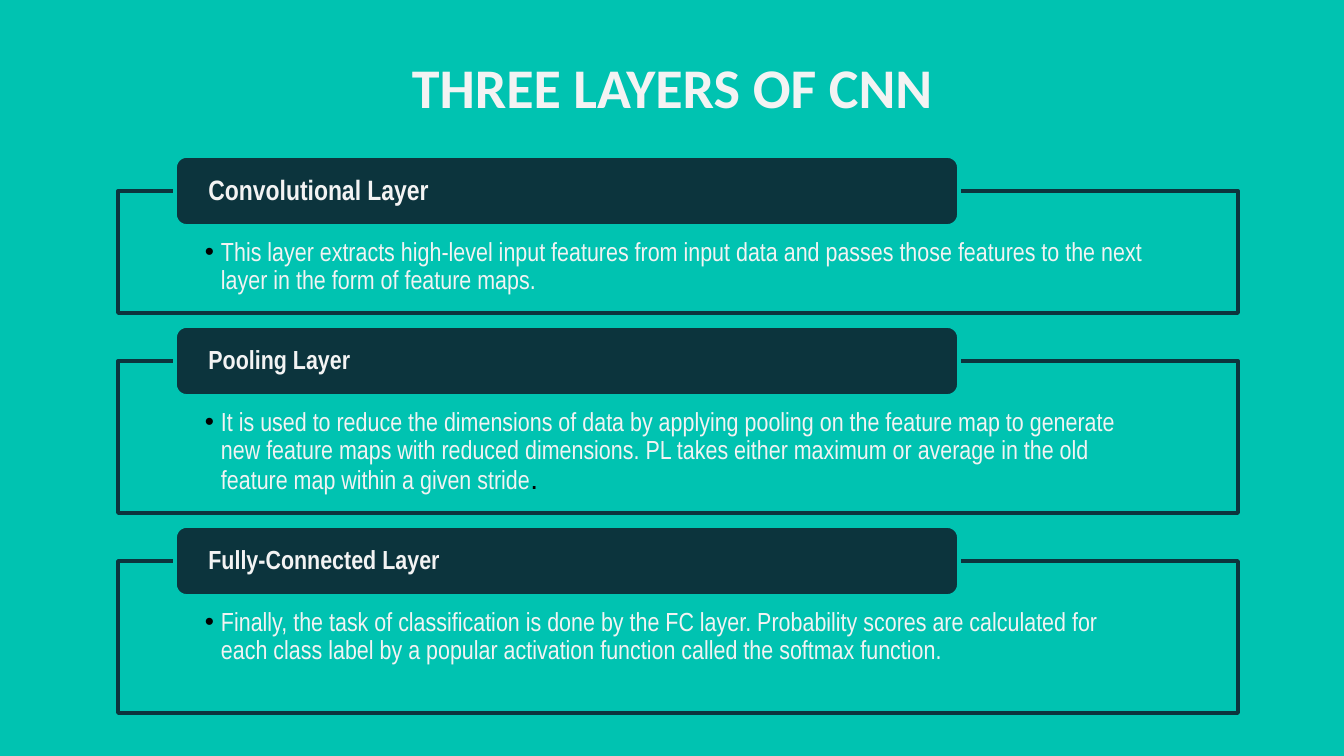
from pptx import Presentation, util as u
from pptx.dml.color import RGBColor
from pptx.enum import shapes, text
from pptx.oxml.ns import qn
from lxml import etree

PX = 914400 / 134.4
TEAL = RGBColor(0x00, 0xC3, 0xB1)
NAVY = RGBColor(0x0C, 0x34, 0x3D)
PALE = RGBColor(0xF3, 0xF3, 0xF3)
BLACK = RGBColor(0x00, 0x00, 0x00)

FRAME_LEFT, FRAME_WIDTH, FIRST_TOP, GAP = 118, 1120, 191, 48
HEADER_LEFT, HEADER_WIDTH, HEADER_HEIGHT, HEADER_RISE = 175, 784, 70, 35

# heading, heading size, frame height, description, closing mark
LAYERS = [
    ("Convolutional Layer", 15, 122,
     "This layer extracts high-level input features from input data and passes "
     "those features to the next layer in the form of feature maps.", ""),
    ("Pooling Layer", 14, 152,
     "It is used to reduce the dimensions of data by applying pooling on the "
     "feature map to generate new feature maps with reduced dimensions. PL takes "
     "either maximum or average in the old feature map within a given stride", "."),
    ("Fully-Connected Layer", 14, 152,
     "Finally, the task of classification is done by the FC layer. Probability "
     "scores are calculated for each class label by a popular activation function "
     "called the softmax function.", ""),
]


def px(length):
    return u.Emu(round(length * PX))


def set_insets(frame, left, top, right, bottom):
    frame.margin_left, frame.margin_top = px(left), px(top)
    frame.margin_right, frame.margin_bottom = px(right), px(bottom)


def style_run(run, size, color=PALE, name="Arial Narrow", bold=False):
    run.font.size = u.Pt(size)
    run.font.name = name
    run.font.bold = bold
    run.font.color.rgb = color


def add_bullet(paragraph):
    paragraph.level = 1
    props = paragraph._p.get_or_add_pPr()
    props.set("marL", str(px(16)))
    props.set("indent", str(px(-16)))
    color = etree.SubElement(props, qn("a:buClr"))
    etree.SubElement(color, qn("a:srgbClr"), val=str(BLACK))
    etree.SubElement(props, qn("a:buFont"), typeface="Arial")
    etree.SubElement(props, qn("a:buChar"), char="•")


def add_panel(slide, kind, box, fill, line, anchor, insets):
    panel = slide.shapes.add_shape(kind, *map(px, box))
    panel.shadow.inherit = False
    panel.fill.solid()
    panel.fill.fore_color.rgb = fill
    panel.line.color.rgb = line
    panel.line.width = u.Pt(2)
    frame = panel.text_frame
    frame.word_wrap = True
    frame.vertical_anchor = anchor
    set_insets(frame, *insets)
    paragraph = frame.paragraphs[0]
    paragraph.alignment = text.PP_ALIGN.LEFT
    paragraph.line_spacing = 0.9
    return panel


def add_description(slide, top, height, description, closing):
    frame = add_panel(slide, shapes.MSO_SHAPE.RECTANGLE,
                      (FRAME_LEFT, top, FRAME_WIDTH, height), TEAL, NAVY,
                      text.MSO_ANCHOR.TOP, (87, 48, 87, 15))
    # Slightly transparent fill
    fill_color = frame._element.spPr.find(qn("a:solidFill"))[0]
    etree.SubElement(fill_color, qn("a:alpha"), val="90000")

    paragraph = frame.text_frame.paragraphs[0]
    add_bullet(paragraph)
    paragraph.text = description
    style_run(paragraph.runs[0], 14)
    if closing:
        mark = paragraph.add_run()
        mark.text = closing
        style_run(mark, 15, BLACK, "Arial")


def add_header(slide, top, heading, size):
    header = add_panel(slide, shapes.MSO_SHAPE.ROUNDED_RECTANGLE,
                       (HEADER_LEFT, top, HEADER_WIDTH, HEADER_HEIGHT), NAVY, TEAL,
                       text.MSO_ANCHOR.MIDDLE, (30, 0, 30, 0))
    paragraph = header.text_frame.paragraphs[0]
    paragraph.text = heading
    style_run(paragraph.runs[0], size, bold=True)


def add_title(slide, wording):
    title = slide.shapes.add_textbox(px(106), px(40), px(1133), px(85))
    frame = title.text_frame
    frame.word_wrap = True
    set_insets(frame, 13, 13, 13, 13)
    frame.text = wording
    paragraph = frame.paragraphs[0]
    paragraph.alignment = text.PP_ALIGN.CENTER
    style_run(paragraph.runs[0], 30, name="Calibri", bold=True)


def main():
    deck = Presentation()
    deck.slide_width, deck.slide_height = px(1344), px(756)
    slide = deck.slides.add_slide(deck.slide_layouts[6])
    slide.background.fill.solid()
    slide.background.fill.fore_color.rgb = TEAL

    add_title(slide, "THREE LAYERS OF CNN")

    # Stacked layers: framed description with an overlapping header
    top = FIRST_TOP
    for heading, size, height, description, closing in LAYERS:
        add_description(slide, top, height, description, closing)
        add_header(slide, top - HEADER_RISE, heading, size)
        top += height + GAP

    deck.save("out.pptx")


if __name__ == "__main__":
    main()
